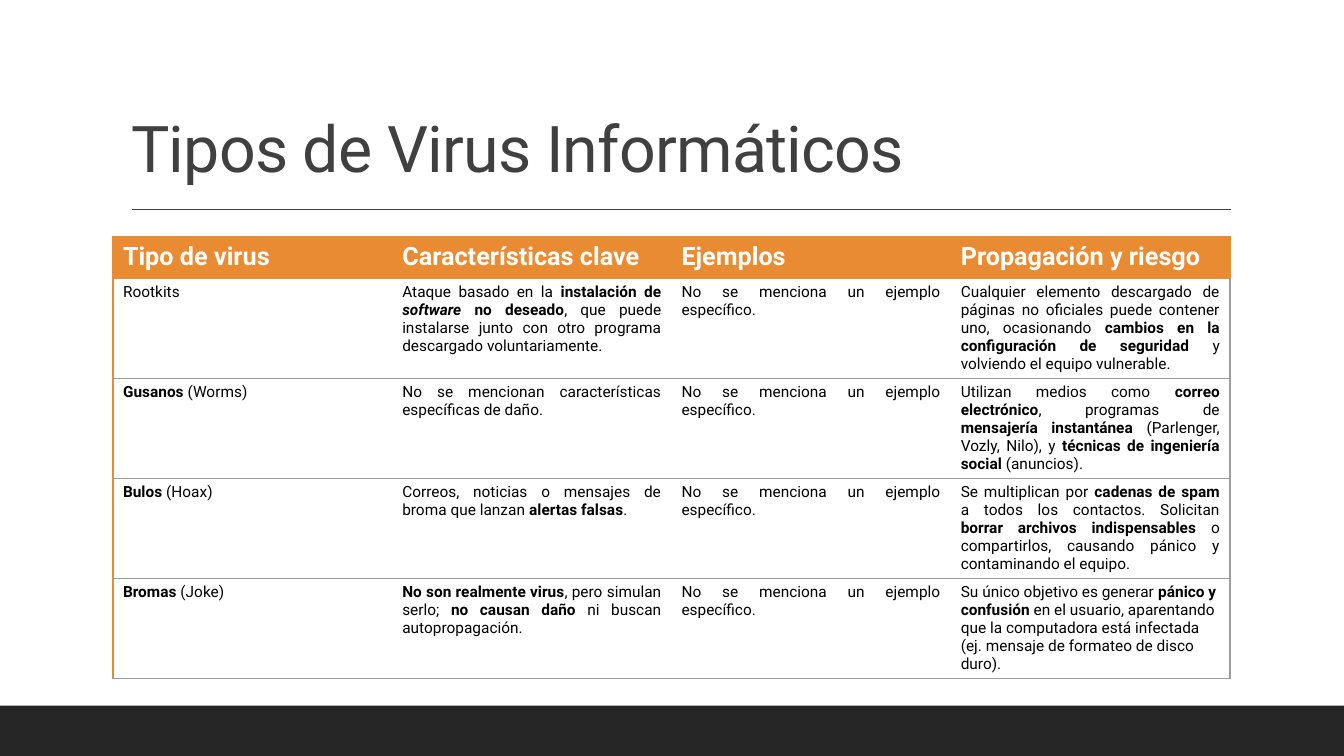
from lxml import etree
from pptx import Presentation, util as u
from pptx.dml.color import RGBColor
from pptx.enum import shapes, text
from pptx.oxml import ns

ORANGE = RGBColor(0xE8, 0x8B, 0x33)
GREY = RGBColor(0x9C, 0x9C, 0x9C)
DARK = RGBColor(0x40, 0x40, 0x40)
FOOTER = RGBColor(0x26, 0x26, 0x26)
BLACK = RGBColor(0, 0, 0)
WHITE = RGBColor(0xFF, 0xFF, 0xFF)
FONT = "Roboto"
NO_STYLE = "{2D5ABB26-0587-4C30-8999-92F81FD0307C}"
COLS, COL_W, HEAD_H, ROW_H = 4, 2.77, 0.41, 0.99

# *bold*, _italic_
NO_EXAMPLE = "No se menciona un ejemplo específico."
HEADS = ["Tipo de virus", "Características clave", "Ejemplos", "Propagación y riesgo"]
ROWS = [
    ["Rootkits",
     "Ataque basado en la *instalación de _software_ no deseado*, que puede instalarse "
     "junto con otro programa descargado voluntariamente.",
     NO_EXAMPLE,
     "Cualquier elemento descargado de páginas no oficiales puede contener uno, ocasionando "
     "*cambios en la configuración de seguridad* y volviendo el equipo vulnerable."],
    ["*Gusanos* (Worms)",
     "No se mencionan características específicas de daño.",
     NO_EXAMPLE,
     "Utilizan medios como *correo electrónico*, programas de *mensajería instantánea* "
     "(Parlenger, Vozly, Nilo), y *técnicas de ingeniería social* (anuncios)."],
    ["*Bulos* (Hoax)",
     "Correos, noticias o mensajes de broma que lanzan *alertas falsas*.",
     NO_EXAMPLE,
     "Se multiplican por *cadenas de spam* a todos los contactos. Solicitan *borrar archivos "
     "indispensables* o compartirlos, causando pánico y contaminando el equipo."],
    ["*Bromas* (Joke)",
     "*No son realmente virus*, pero simulan serlo; *no causan daño* ni buscan autopropagación.",
     NO_EXAMPLE,
     "Su único objetivo es generar *pánico y confusión* en el usuario, aparentando que la "
     "computadora está infectada (ej. mensaje de formateo de disco duro)."],
]


def add_run(p, words, color, **fmt):
    r = p.add_run()
    r.text = words
    for name, value in {"name": FONT, **fmt}.items():
        setattr(r.font, name, value)
    r.font.color.rgb = color
    return r


def set_border(cell, side, color):
    ln = etree.SubElement(cell._tc.get_or_add_tcPr(), ns.qn("a:ln" + side), w="12700")
    if color is None:
        etree.SubElement(ln, ns.qn("a:noFill"))
    else:
        fill = etree.SubElement(ln, ns.qn("a:solidFill"))
        etree.SubElement(fill, ns.qn("a:srgbClr"), val=str(color))


prs = Presentation()
prs.slide_width, prs.slide_height = u.Inches(13.33), u.Inches(7.5)
s = prs.slides.add_slide(prs.slide_layouts[5])

# Footer band
band_h = prs.slide_height // 15
sp = s.shapes.add_shape(shapes.MSO_SHAPE.RECTANGLE, 0, prs.slide_height - band_h,
                        prs.slide_width, band_h)
sp.shadow.inherit = False
sp.fill.solid()
sp.fill.fore_color.rgb = FOOTER
sp.line.fill.background()

# Rule under the title
rule = s.shapes.add_connector(shapes.MSO_CONNECTOR.STRAIGHT, u.Inches(1.31), u.Inches(2.08),
                              u.Inches(12.21), u.Inches(2.08))
rule.line.color.rgb = DARK
rule.line.width = u.Pt(1)
etree.SubElement(rule._element.spPr, ns.qn("a:effectLst"))

# Title
title = s.shapes.title
for name, value in {"left": 1.2, "top": 0.31, "width": 11, "height": 1.59}.items():
    setattr(title, name, u.Inches(value))
tf = title.text_frame
tf.word_wrap = True
tf.auto_size = text.MSO_AUTO_SIZE.NONE
tf.vertical_anchor = text.MSO_ANCHOR.BOTTOM
p = tf.paragraphs[0]
p.alignment = text.PP_ALIGN.LEFT
p.line_spacing = 0.9
r = add_run(p, "Tipos de Virus Informáticos", DARK, size=u.Pt(46))
r._r.get_or_add_rPr().set("spc", "-50")

# Table frame
frame = s.shapes.add_table(len(ROWS) + 1, COLS, u.Inches(1.12), u.Inches(2.35),
                           u.Inches(COLS * COL_W), u.Inches(HEAD_H + len(ROWS) * ROW_H))
table = frame.table
table.horz_banding = False
table._tbl.tblPr.find(ns.qn("a:tableStyleId")).text = NO_STYLE
for col in table.columns:
    col.width = u.Inches(COL_W)
for i, row in enumerate(table.rows):
    row.height = u.Inches(ROW_H if i else HEAD_H)

# Table cells
for i, words in enumerate([HEADS] + ROWS):
    for j, markup in enumerate(words):
        cell = table.cell(i, j)
        last = j == COLS - 1
        set_border(cell, "L", ORANGE if j == 0 else None)
        set_border(cell, "R", (GREY if i else ORANGE) if last else None)
        set_border(cell, "T", GREY if i > 1 else ORANGE)
        set_border(cell, "B", GREY if i else ORANGE)
        cell.fill.solid()
        cell.fill.fore_color.rgb = WHITE if i else ORANGE
        p = cell.text_frame.paragraphs[0]
        if i == 0:
            add_run(p, markup, WHITE, size=u.Pt(18), bold=True)
            continue
        if i == len(ROWS) and last:
            cell.vertical_anchor = text.MSO_ANCHOR.MIDDLE
        else:
            p.alignment = text.PP_ALIGN.JUSTIFY
        for b, part in enumerate(markup.split("*")):
            for k, piece in enumerate(part.split("_")):
                if piece:
                    add_run(p, piece, BLACK, size=u.Pt(11), bold=b % 2 == 1, italic=k % 2 == 1)

prs.save("out.pptx")
